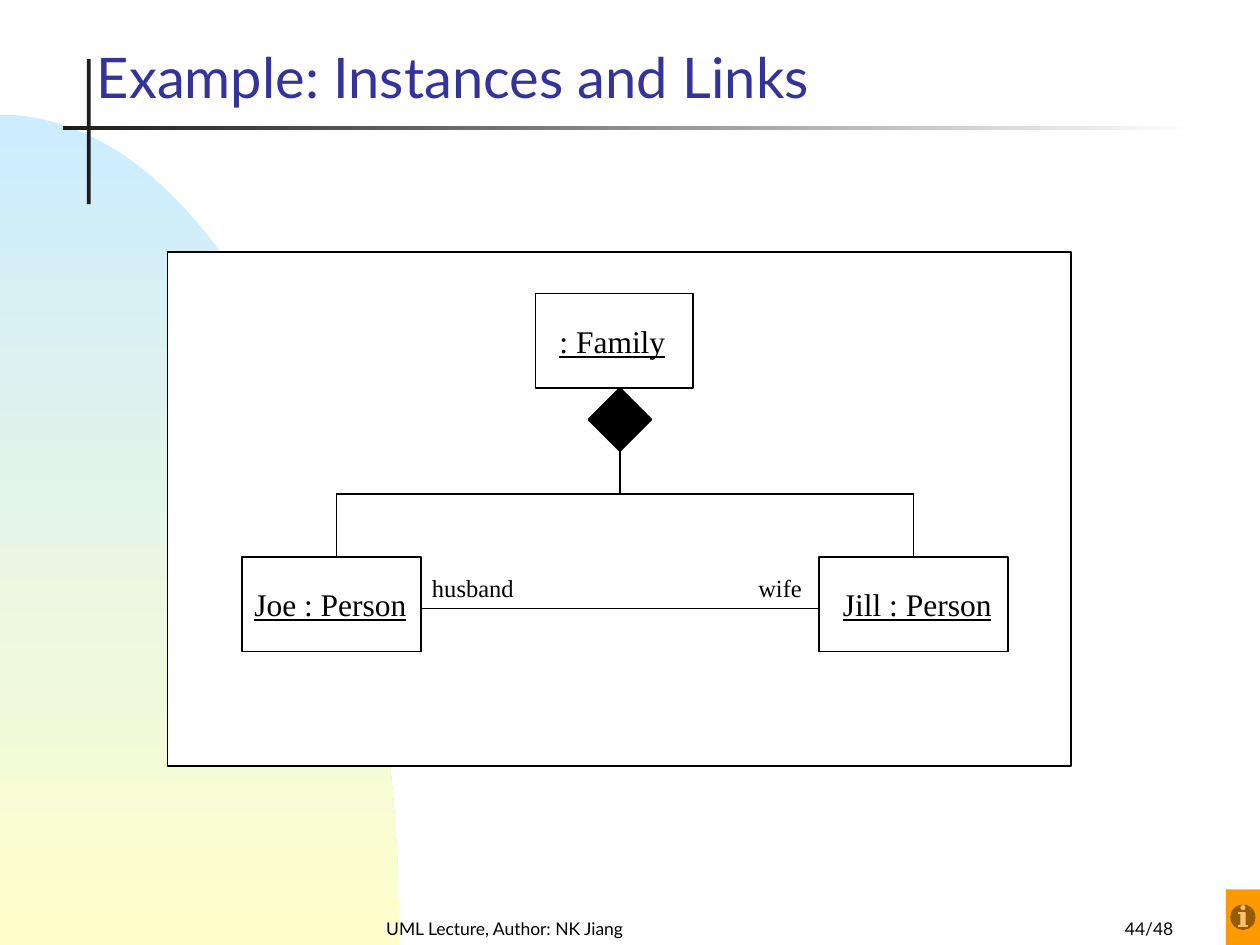
import math

from pptx import Presentation
from pptx.dml.color import RGBColor
from pptx.enum import shapes, text
from pptx.oxml.ns import qn
from pptx.util import Inches, Pt

BLACK = RGBColor(0x00, 0x00, 0x00)
WHITE = RGBColor(0xFF, 0xFF, 0xFF)
CHARCOAL = RGBColor(0x1C, 0x1C, 0x1C)
SKY = RGBColor(0xCC, 0xEC, 0xFF)
CREAM = RGBColor(0xFF, 0xFF, 0xCC)
NAVY = RGBColor(0x33, 0x33, 0x99)
ORANGE = RGBColor(0xFF, 0x99, 0x00)
SANS, SERIF = "Lato", "Times New Roman"
LEFT, CENTER, RIGHT = text.PP_ALIGN.LEFT, text.PP_ALIGN.CENTER, text.PP_ALIGN.RIGHT
TOP, MIDDLE, BOTTOM = text.MSO_ANCHOR.TOP, text.MSO_ANCHOR.MIDDLE, text.MSO_ANCHOR.BOTTOM
KIND = shapes.MSO_SHAPE

# text, box, size, font, colour, alignment, anchor
TEXTS = [
    ("UML Lecture, Author: NK Jiang", (2.42, 7.17, 3.17, 0.33), 10, SANS, BLACK, CENTER, BOTTOM),
    ("44/48", (7.33, 7.17, 2.08, 0.33), 10, SANS, BLACK, RIGHT, BOTTOM),
    ("Example: Instances and Links", (0.67, 0.17, 7.08, 0.75), 32, SANS, NAVY, LEFT, BOTTOM),
    ("husband", (3.33, 4.5, 0.85, 0.34), 14, SERIF, BLACK, LEFT, TOP),
    ("wife", (5.92, 4.5, 0.6, 0.34), 14, SERIF, BLACK, LEFT, TOP),
]
# name, box, left inset
INSTANCES = [
    ("Joe : Person", (1.92, 4.42, 1.42, 0.75), 0.1),
    ("Jill : Person", (6.5, 4.42, 1.5, 0.75), 0.19),
    (": Family", (4.25, 2.33, 1.25, 0.75), 0.19),
]
JOE_X, FAMILY_X, JILL_X = 2.67, 4.92, 7.25
BRANCH_Y, PERSON_Y, MARRIAGE_Y = 3.92, 4.42, 4.83
LINKS = [
    (3.33, MARRIAGE_Y, 6.5, MARRIAGE_Y),
    (FAMILY_X, 3.33, FAMILY_X, BRANCH_Y),
    (JOE_X, BRANCH_Y, JILL_X, BRANCH_Y),
    (JOE_X, BRANCH_Y, JOE_X, PERSON_Y),
]
ARC_RX, ARC_TOP, ARC_BOTTOM, ARC_STEPS = 3.17, 0.91, 7.5, 90


def paint(sp, fill=None, line=None):
    sp.shadow.inherit = False
    if fill is None:
        sp.fill.background()
    else:
        sp.fill.solid()
        sp.fill.fore_color.rgb = fill
    if line is None:
        sp.line.fill.background()
    else:
        sp.line.color.rgb = line
        sp.line.width = Pt(1)


def shade(sp, start, end, angle):
    sp.fill.gradient()
    sp.fill.gradient_angle = angle
    for stop, color in zip(sp.fill.gradient_stops, (start, end)):
        stop.color.rgb = color


def add_shape(slide, kind, box, fill=None, line=None):
    sp = slide.shapes.add_shape(kind, *map(Inches, box))
    paint(sp, fill, line)
    return sp


def write(sp, words, size, font, color, align, anchor):
    tf = sp.text_frame
    tf.word_wrap = True
    tf.vertical_anchor = anchor
    p = tf.paragraphs[0]
    p.text = words
    p.alignment = align
    p.font.size, p.font.name = Pt(size), font
    p.font.color.rgb = color
    return p


def add_link(slide, ends):
    link = slide.shapes.add_connector(shapes.MSO_CONNECTOR.STRAIGHT, *map(Inches, ends))
    link.line.color.rgb = BLACK
    link.line.width = Pt(1)
    pr = link._element.spPr
    pr.append(pr.makeelement(qn("a:effectLst"), {}))
    return link


def add_backdrop(slide):
    """Quarter ellipse rising from the lower left corner."""
    angles = [math.pi / 2 * (1 - i / ARC_STEPS) for i in range(ARC_STEPS + 1)]
    arc = [(Inches(ARC_RX * math.cos(a)),
            Inches(ARC_BOTTOM - (ARC_BOTTOM - ARC_TOP) * math.sin(a))) for a in angles]
    builder = slide.shapes.build_freeform(0, Inches(ARC_BOTTOM))
    builder.add_line_segments(arc, close=True)
    sp = builder.convert_to_shape()
    paint(sp)
    shade(sp, SKY, CREAM, 270)


def main():
    prs = Presentation()
    prs.slide_width, prs.slide_height = Inches(10), Inches(7.5)
    slide = prs.slides.add_slide(prs.slide_layouts[6])

    add_backdrop(slide)
    add_shape(slide, KIND.RECTANGLE, (0.69, 0.47, 0.03, 1.15), CHARCOAL)
    rule = add_shape(slide, KIND.RECTANGLE, (0.5, 1, 9, 0.03))
    shade(rule, CHARCOAL, WHITE, 0)
    add_shape(slide, KIND.RECTANGLE, (1.33, 2, 7.17, 4.08), WHITE, BLACK)

    boxes = {}
    for name, box, inset in INSTANCES:
        sp = add_shape(slide, KIND.RECTANGLE, box, line=BLACK)
        p = write(sp, name, 18, SERIF, BLACK, LEFT, MIDDLE)
        p.font.underline = True
        sp.text_frame.margin_left, sp.text_frame.margin_right = Inches(inset), 0
        boxes[name] = sp

    for words, box, *style in TEXTS:
        write(slide.shapes.add_textbox(*map(Inches, box)), words, *style)

    add_shape(slide, KIND.FLOWCHART_DECISION, (4.67, 3.08, 0.5, 0.5), BLACK, BLACK)
    for ends in LINKS:
        add_link(slide, ends)
    add_link(slide, (JILL_X, BRANCH_Y, JILL_X, PERSON_Y)).end_connect(boxes["Jill : Person"], 0)

    add_shape(slide, KIND.ACTION_BUTTON_INFORMATION, (9.73, 7.06, 0.27, 0.44), ORANGE)
    prs.save("out.pptx")


if __name__ == "__main__":
    main()
